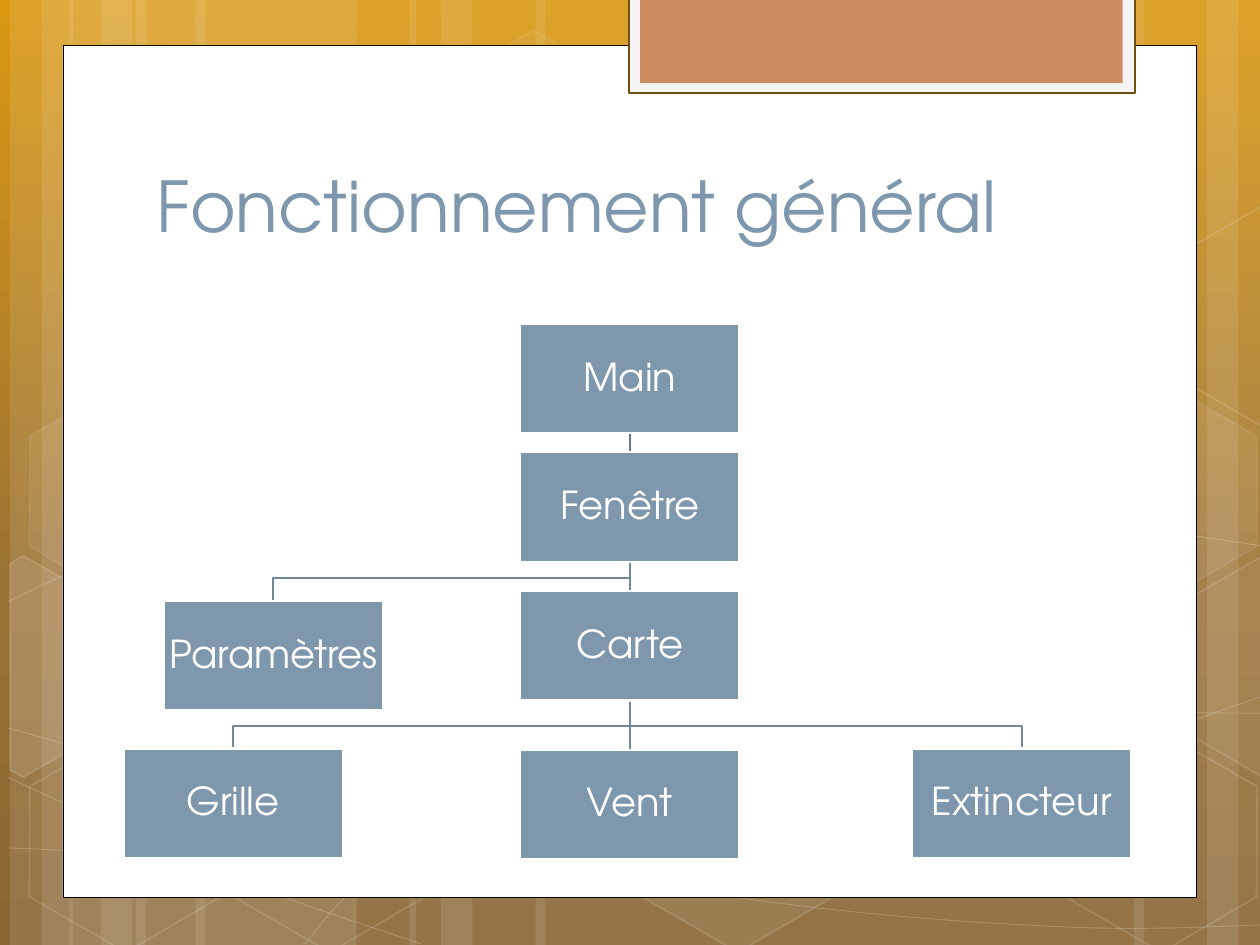
from copy import deepcopy

from lxml.etree import SubElement
from pptx import Presentation
from pptx.dml.color import RGBColor
from pptx.enum.shapes import MSO_CONNECTOR as Line, MSO_SHAPE as Preset
from pptx.enum.text import MSO_ANCHOR as Anchor, MSO_AUTO_SIZE as AutoSize, PP_ALIGN as Align
from pptx.oxml.ns import qn
from pptx.util import Inches, Pt

FONT = "TeX Gyre Adventor"
WHITE, BLUE, LINK_BLUE, DARK_LINK = "FFFFFF", "7E97AD", "72899D", "65798B"
PAGE_WIDTH, PAGE_HEIGHT = 10, 7.5
rgb = RGBColor.from_string


def paint(shape, fill=None, line=None, width=1, fill_alpha=100, line_alpha=100):
    """Set fill, line, opacity in percent, and no shadow; None leaves a part empty."""
    props = shape.element.spPr
    parts = [(shape.line.fill, line, line_alpha, "a:ln/a:solidFill/a:srgbClr")]
    if hasattr(shape, "fill"):
        parts.insert(0, (shape.fill, fill, fill_alpha, "a:solidFill/a:srgbClr"))
    for part, colour, alpha, route in parts:
        if colour is None:
            part.background()
            continue
        part.solid()
        part.fore_color.rgb = rgb(colour)
        if alpha < 100:
            SubElement(props.xpath(route)[0], qn("a:alpha"), val=str(alpha * 1000))
    if line:
        shape.line.width = Pt(width)
    SubElement(props, qn("a:effectLst"))


def outline(points, close=False):
    """Draw a freeform through points given in inches."""
    points = [(Inches(x), Inches(y)) for x, y in points]
    builder = page.shapes.build_freeform(*points[0], scale=1.0)
    builder.add_line_segments(points[1:], close=close)
    return builder.convert_to_shape()


deck = Presentation()
deck.slide_width, deck.slide_height = Inches(PAGE_WIDTH), Inches(PAGE_HEIGHT)
page = deck.slides.add_slide(deck.slide_layouts[5])

# Background gradient
backdrop = page.background.fill
backdrop.gradient()
backdrop.gradient_angle = 270
stop_list = page.element.xpath(".//a:gsLst")[0]
stop_list.append(deepcopy(stop_list[-1]))
gradient = [(0, "DA9811"), (0.62, "9B7235"), (1, "8A6634")]
for stop, (position, colour) in zip(backdrop.gradient_stops, gradient):
    stop.position = position
    stop.color.rgb = rgb(colour)

# Stripes come in threes: each set steps away from its start, to the right (1) or left (-1)
for start, direction, wide in [(0.08, 1, 1.75), (0.55, 1, 1.75), (10.08, -1, 1.75),
                               (3.25, 1, 3.08)]:
    for offset, width in [(1, wide), (0, 0.5), (0.25, 0.83)]:
        left = start + direction * offset - (width if direction < 0 else 0)
        stripe = page.shapes.add_shape(
            Preset.RECTANGLE, Inches(left), 0, Inches(width), Inches(PAGE_HEIGHT))
        paint(stripe, WHITE, fill_alpha=10)

# Thin curves: a smooth spline through a few knots, its slope taken from the neighbours
curve_knots = {
    "rising": [(0.07, 6.73), (1.9, 6.78), (4.58, 6.65), (7.92, 6.17), (10.07, 5.51)],
    "arch": [(0.07, 4.77), (1.21, 4.31), (3.47, 3.87), (6.54, 3.87), (10.07, 4.34)],
    "corner": [(0.06, 6.17), (1.8, 6.95), (3.34, 7.49)],
    "falling": [(0.07, 5.78), (3.57, 6.73), (6.28, 7.18), (8.53, 7.36), (10.07, 7.34)],
    "climbing": [(2.42, 7.49), (3.02, 6.91), (4.7, 6.09), (6.8, 5.69), (10.06, 5.66)],
}
STEPS = 10
for knots in curve_knots.values():
    padded = [knots[0], *knots, knots[-1]]
    track = [knots[0]]
    for before, start, end, after in zip(padded, padded[1:], padded[2:], padded[3:]):
        for step in range(1, STEPS + 1):
            t = step / STEPS
            track.append(tuple(
                b + t / 2 * (c - a + t * (2 * a - 5 * b + 4 * c - d + t * (3 * (b - c) + d - a)))
                for a, b, c, d in zip(before, start, end, after)))
    paint(outline(track), line=WHITE, width=0.5, line_alpha=20)

# Hexagons sit on a honeycomb: half columns are allowed, rows count from the top
HEX_WIDTH, HEX_HEIGHT = 1.75, 1.52
COLUMN_STEP, ROW_STEP, FIRST_ROW = 1.62, 1.39, 0.36
LEFT_COMB, RIGHT_COMB = 0.12, 8.34
hexagons = [  # comb, column, row, fill opacity, line opacity
    (LEFT_COMB, 2, 0, 4, 8), (LEFT_COMB, 3, 4, 6, 12), (LEFT_COMB, 0, 4, 0, 12),
    (LEFT_COMB, 0, 2, 7, 8), (LEFT_COMB, 1, 4, 0, 12), (RIGHT_COMB, -0.5, 3, 10, 12),
    (RIGHT_COMB, 0, 4, 0, 12), (RIGHT_COMB, 0, 2, 7, 8)]
for comb, column, row, fill_alpha, line_alpha in hexagons:
    hexagon = page.shapes.add_shape(
        Preset.HEXAGON, Inches(comb + column * COLUMN_STEP), Inches(FIRST_ROW + row * ROW_STEP),
        Inches(HEX_WIDTH), Inches(HEX_HEIGHT))
    hexagon.adjustments[0] = 0.285
    hexagon.rotation = 30
    paint(hexagon, WHITE if fill_alpha else None, WHITE, 1, fill_alpha, line_alpha)

# Hexagons cut off near the page edge: the whole half faces inwards
APEX, SHOULDER, HALF_WIDTH = 0.88, 0.44, 0.76
SLOPE = (APEX - SHOULDER) / HALF_WIDTH
for comb, column, row, cut, inward, fill_alpha in [
        (LEFT_COMB, -0.5, 3, 0.08, 1, 10), (RIGHT_COMB, 0.5, 3, 10.09, -1, 4),
        (RIGHT_COMB, 0.5, 1, 10.09, -1, 0)]:
    middle_x = comb + column * COLUMN_STEP + HEX_WIDTH / 2
    middle_y = FIRST_ROW + row * ROW_STEP + HEX_HEIGHT / 2
    upper_half = [(cut, APEX - abs(cut - middle_x) * SLOPE), (middle_x, APEX),
                  (middle_x + inward * HALF_WIDTH, SHOULDER)]
    corners = [(x, middle_y - rise) for x, rise in upper_half]
    corners += [(x, middle_y + rise) for x, rise in reversed(upper_half)]
    paint(outline(corners, close=True), WHITE if fill_alpha else None, WHITE, 1, fill_alpha, 12)

# White panel and top tab
panels = [((0.5, 0.36, 9, 6.76), WHITE, "000000", 0.5),
          ((4.99, -0.02, 4.02, 0.76), "F5F5F5", "6E4F10", 1.25),
          ((5.08, -0.02, 3.83, 0.68), "CC8E60", None, 0)]
for place, fill, line, width in panels:
    panel = page.shapes.add_shape(Preset.RECTANGLE, *map(Inches, place))
    paint(panel, fill, line, width)

# Title, brought in front of the panel
title = page.shapes.title
title.element.getparent().append(title.element)
title_place = {"left": 1.14, "top": 0.76, "width": 7.68, "height": 1.25}
for name, value in title_place.items():
    setattr(title, name, Inches(value))
title.text_frame.text = "Fonctionnement général"
title.text_frame.auto_size = AutoSize.NONE
title.text_frame.vertical_anchor = Anchor.BOTTOM

# Tree: label -> centre, top, parent
BOX_WIDTH, BOX_HEIGHT, TURN_GAP = 1.74, 0.87, 0.18
CENTRE = PAGE_WIDTH / 2
tree = {
    "Main": (CENTRE, 2.57, None),
    "Fenêtre": (CENTRE, 3.59, "Main"),
    "Paramètres": (2.17, 4.77, "Fenêtre"),
    "Carte": (CENTRE, 4.69, "Fenêtre"),
    "Vent": (CENTRE, 5.95, "Carte"),
    "Grille": (1.85, 5.94, "Carte"),
    "Extincteur": (8.11, 5.94, "Carte"),
}

# Links run from the parent's bottom to the child's top, behind the boxes
for middle, top, parent in tree.values():
    if parent is None:
        continue
    parent_middle, parent_top, _ = tree[parent]
    bottom = parent_top + BOX_HEIGHT
    if middle == parent_middle:
        link = page.shapes.add_connector(
            Line.STRAIGHT, Inches(middle), Inches(bottom), Inches(middle), Inches(top))
    else:
        turn = top - TURN_GAP
        link = outline([(parent_middle, bottom), (parent_middle, turn),
                        (middle, turn), (middle, top)])
    paint(link, line=DARK_LINK if parent == "Main" else LINK_BLUE, width=1.25)

styled = [(title, 40, BLUE, Align.LEFT, 1.0)]
for label, (middle, top, _) in tree.items():
    box = page.shapes.add_shape(Preset.RECTANGLE, Inches(middle - BOX_WIDTH / 2), Inches(top),
                                Inches(BOX_WIDTH), Inches(BOX_HEIGHT))
    paint(box, BLUE, WHITE, 1.25)
    frame = box.text_frame
    frame.text = label
    frame.word_wrap = True
    frame.vertical_anchor = Anchor.MIDDLE
    for side in ("left", "top", "right", "bottom"):
        setattr(frame, f"margin_{side}", Inches(0.02))
    styled.append((box, 22, WHITE, Align.CENTER, 0.9))

for shape, size, colour, alignment, spacing in styled:
    para = shape.text_frame.paragraphs[0]
    para.alignment, para.line_spacing = alignment, spacing
    font = para.runs[0].font
    for name, value in {"name": FONT, "size": Pt(size)}.items():
        setattr(font, name, value)
    font.color.rgb = rgb(colour)

deck.save("out.pptx")
